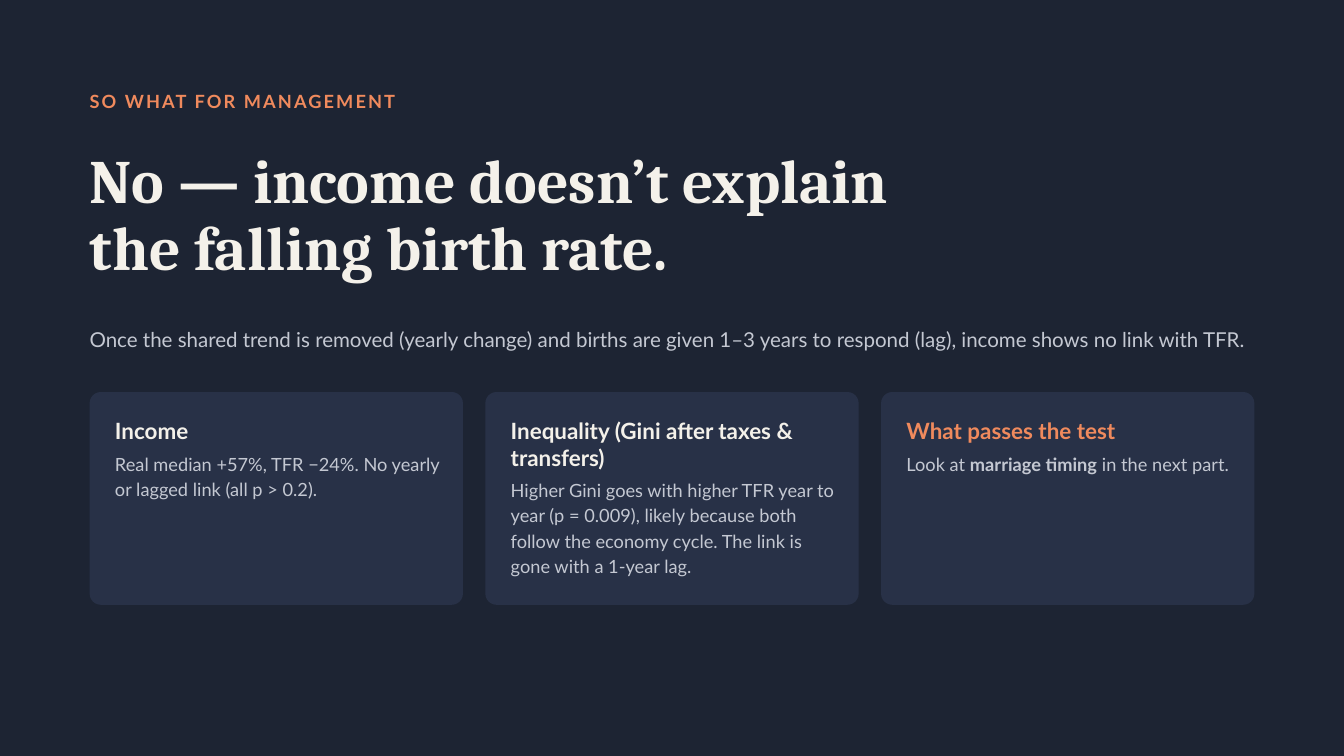
import pptx
import pptx.dml.color
import pptx.enum.shapes
import pptx.enum.text
import pptx.util

RGB = pptx.dml.color.RGBColor
NIGHT = RGB(0x1D, 0x24, 0x33)
PANEL = RGB(0x28, 0x31, 0x47)
CREAM = RGB(0xF4, 0xF1, 0xEA)
MIST = RGB(0xC4, 0xC8, 0xD2)
CORAL = RGB(0xF0, 0x8A, 0x5D)

COLS = 180  # square grid cells across the slide
LEFT, WIDE = 12, 160.65
CARD, GAP, PAD = 50, 3, 3.4
TOP, TALL = 52.5, 28.5

STYLES = {
    "label": ({"name": "Lato", "size": 19.5, "bold": True}, 27.3),
    "title": ({"name": "Cambria", "size": 66, "bold": True}, 72.6),
    "lead": ({"name": "Lato", "size": 22, "bold": False}, 30.8),
    "head": ({"name": "Lato", "size": 24, "bold": True}, 28.8),
    "body": ({"name": "Lato", "size": 19.5, "bold": False}, 27.3),
}

# heading, its colour and height, body runs (text, bold), body row, width, height
CARDS = [
    ("Income", CREAM, 4,
     [("Real median +57%, TFR −24%. No yearly or lagged link (all p > 0.2).", False)],
     60.2, 44.6, 7.5),
    ("Inequality (Gini after taxes & transfers)", CREAM, 7.5,
     [("Higher Gini goes with higher TFR year to year (p = 0.009), likely because "
       "both follow the economy cycle. The link is gone with a 1-year lag.", False)],
     63.7, 44.6, 13.4),
    ("What passes the test", CORAL, 4,
     [("Look at ", False), ("marriage timing", True), (" in the next part.", False)],
     60.2, 46.6, 3.2),
]


class Deck:
    """Holds the file, its current slide and the grid."""

    def __init__(self):
        self.file = pptx.Presentation()
        self.file.slide_width = pptx.util.Inches(20)
        self.file.slide_height = pptx.util.Inches(11.25)
        self.slide = self.file.slides.add_slide(self.file.slide_layouts[6])
        fill = self.slide.background.fill
        fill.solid()
        fill.fore_color.rgb = NIGHT

    def cells(self, *spans):
        return [round(span * self.file.slide_width / COLS) for span in spans]

    def text(self, area, style, color, lines, track=None):
        """Write lines, each a list of (text, bold) runs; track is in 1/100 pt."""
        form, pitch = STYLES[style]
        frame = self.slide.shapes.add_textbox(*self.cells(*area)).text_frame
        setup = {"margin_left": 0, "margin_right": 0, "margin_top": 0,
                 "margin_bottom": 0, "word_wrap": True,
                 "auto_size": pptx.enum.text.MSO_AUTO_SIZE.SHAPE_TO_FIT_TEXT}
        for key, value in setup.items():
            setattr(frame, key, value)
        for index, line in enumerate(lines):
            para = frame.add_paragraph() if index else frame.paragraphs[0]
            para.line_spacing = pptx.util.Pt(pitch)
            for words, bold in line:
                run = para.add_run()
                run.text = words
                font = {**form, "size": pptx.util.Pt(form["size"]),
                        "bold": form["bold"] or bold}
                for key, value in font.items():
                    setattr(run.font, key, value)
                run.font.color.rgb = color
                if track:
                    run.font._element.set("spc", str(track))

    def panel(self, area):
        kind = pptx.enum.shapes.MSO_SHAPE.ROUNDED_RECTANGLE
        shape = self.slide.shapes.add_shape(kind, *self.cells(*area))
        shape.adjustments[0] = 1.5 / TALL
        shape.shadow.inherit = False
        shape.fill.solid()
        shape.fill.fore_color.rgb = PANEL
        shape.line.fill.background()


def main():
    deck = Deck()
    deck.text((LEFT, 11.6, WIDE, 4.1), "label", CORAL,
              [[("SO WHAT FOR MANAGEMENT", True)]], track=220)
    deck.text((LEFT, 19.8, WIDE, 18.2), "title", CREAM,
              [[("No — income doesn’t explain", True)],
               [("the falling birth rate.", True)]])
    deck.text((LEFT, 43.2, WIDE, 3.7), "lead", MIST,
              [[("Once the shared trend is removed (yearly change) and births are given "
                 "1–3 years to respond (lag), income shows no link with TFR.", False)]])
    for index, (head, color, high, body, row, width, depth) in enumerate(CARDS):
        left = LEFT + index * (CARD + GAP)
        deck.panel((left, TOP, CARD, TALL))
        deck.text((left + PAD, TOP + PAD, 44.6, high), "head", color, [[(head, True)]])
        deck.text((left + PAD, row, width, depth), "body", MIST, [body])
    deck.file.save("out.pptx")


if __name__ == "__main__":
    main()
